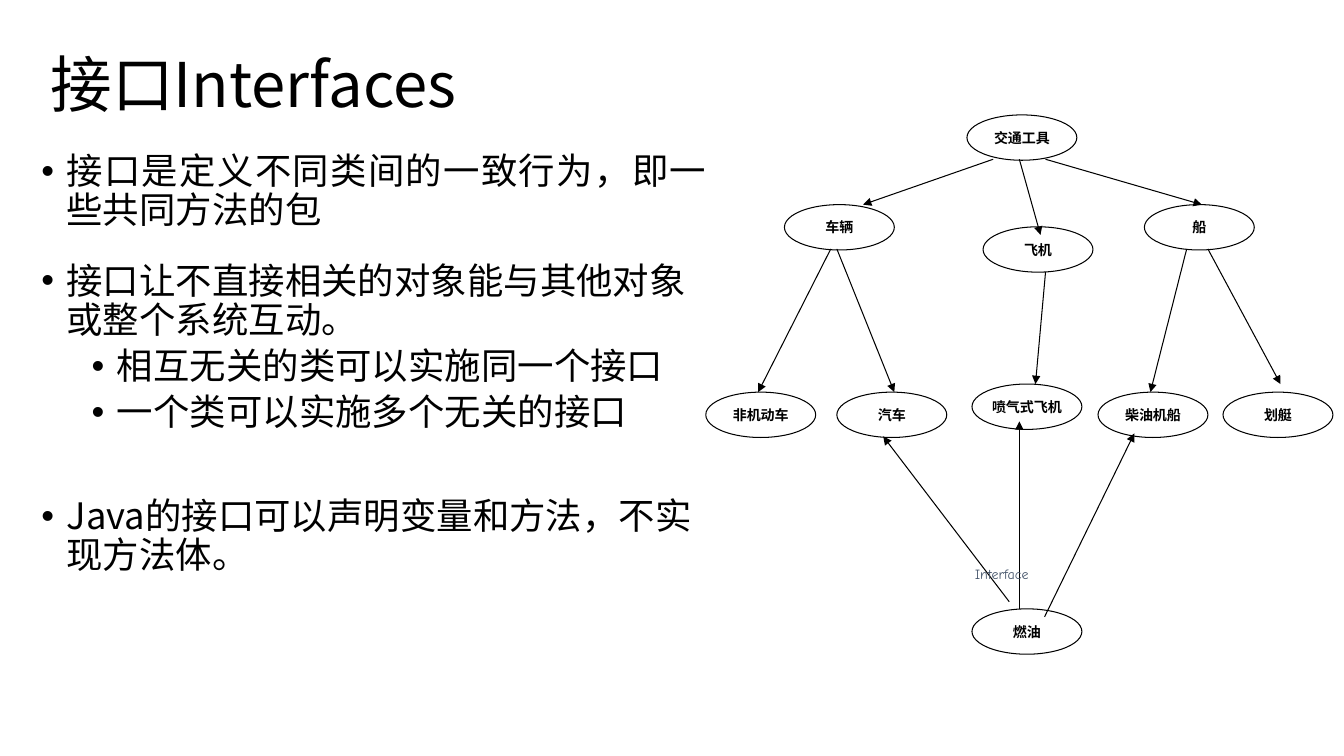
from lxml.etree import SubElement
from pptx import Presentation
from pptx.dml.color import RGBColor
from pptx.enum.shapes import MSO_CONNECTOR, MSO_SHAPE
from pptx.enum.text import MSO_ANCHOR, MSO_AUTO_SIZE, PP_ALIGN
from pptx.oxml.ns import qn
from pptx.util import Inches, Pt

SANS = "Noto Sans CJK SC"
BLACK = "000000"
NODE = (1.09, 0.45)

BODY = [
    ("接口是定义不同类间的一致行为，即一些共同方法的包", 0, 10, 12, PP_ALIGN.JUSTIFY),
    ("接口让不直接相关的对象能与其他对象或整个系统互动。", 0, 10, 0, PP_ALIGN.LEFT),
    ("相互无关的类可以实施同一个接口", 1, 5, 0, PP_ALIGN.LEFT),
    ("一个类可以实施多个无关的接口", 1, 5, 0, PP_ALIGN.LEFT),
    ("Java的接口可以声明变量和方法，不实现方法体。", 0, 46, 0, PP_ALIGN.LEFT),
]

NODES = [
    ("交通工具", 2.59, 0),
    ("车辆", 0.78, 0.89),
    ("船", 4.35, 0.89),
    ("非机动车", 0, 2.75),
    ("飞机", 2.75, 1.11),
    ("柴油机船", 3.89, 2.75),
    ("划艇", 5.13, 2.75),
    ("喷气式飞机", 2.64, 2.67),
    ("汽车", 1.3, 2.75),
    ("燃油", 2.64, 4.9),
]

ARROWS = [
    (2.85, 0.44, 1.56, 0.89),
    (3.11, 0.44, 3.32, 1.19),
    (3.37, 0.44, 4.92, 0.89),
    (1.24, 1.33, 0.52, 2.75),
    (1.3, 1.33, 1.87, 2.75),
    (3.37, 1.56, 3.27, 2.67),
    (4.77, 1.33, 4.41, 2.75),
    (4.98, 1.33, 5.7, 2.67),
    (3.01, 4.83, 1.76, 3.19),
    (3.11, 4.9, 3.11, 3.04),
    (3.36, 4.98, 4.25, 3.16),
]


def paint(code):
    return RGBColor.from_string(code)


def apply(item, vals):
    for key, val in vals.items():
        setattr(item, key, val)


def place(shape, box):
    keys = ("left", "top", "width", "height")
    apply(shape, dict(zip(keys, map(Inches, box))))


def write(para, text, size, font=SANS, color=BLACK, bold=False):
    run = para.add_run()
    run.text = text
    apply(run.font, {"name": font, "size": Pt(size), "bold": bold})
    run.font.color.rgb = paint(color)
    props = run.font._element
    SubElement(props, qn("a:ea")).set("typeface", SANS)


def heading(slide, box):
    title = slide.shapes.title
    place(title, box)
    frame = title.text_frame
    apply(frame, {"vertical_anchor": MSO_ANCHOR.MIDDLE, "auto_size": MSO_AUTO_SIZE.NONE})
    para = frame.paragraphs[0]
    apply(para, {"alignment": PP_ALIGN.LEFT, "line_spacing": 0.9})
    write(para, "接口Interfaces", 44)


def points(slide, box):
    body = slide.placeholders[1]
    place(body, box)
    frame = body.text_frame
    apply(frame, {"vertical_anchor": MSO_ANCHOR.TOP, "auto_size": MSO_AUTO_SIZE.NONE})
    for i, (text, level, above, below, align) in enumerate(BODY):
        para = frame.add_paragraph() if i else frame.paragraphs[0]
        apply(para, {
            "level": level,
            "alignment": align,
            "line_spacing": 0.9,
            "space_before": Pt(above),
            "space_after": Pt(below),
        })
        props = para._p.get_or_add_pPr()
        props.set("marL", str(Inches(0.25 + level * 0.5)))
        props.set("indent", str(Inches(-0.25)))
        SubElement(props, qn("a:buFont")).set("typeface", "Arial")
        SubElement(props, qn("a:buChar")).set("char", "•")
        write(para, text, 26)


def node(slide, text, box):
    oval = slide.shapes.add_shape(MSO_SHAPE.OVAL, *map(Inches, box))
    oval.shadow.inherit = False
    oval.fill.background()
    oval.line.color.rgb = paint(BLACK)
    oval.line.width = Pt(0.75)
    frame = oval.text_frame
    apply(frame, {"word_wrap": False, "vertical_anchor": MSO_ANCHOR.MIDDLE})
    para = frame.paragraphs[0]
    para.alignment = PP_ALIGN.CENTER
    write(para, text, 10, "Times New Roman", bold=True)


def arrow(slide, ends):
    link = slide.shapes.add_connector(MSO_CONNECTOR.STRAIGHT, *map(Inches, ends))
    link.line.color.rgb = paint(BLACK)
    link.line.width = Pt(0.75)
    SubElement(link.line._get_or_add_ln(), qn("a:tailEnd")).set("type", "triangle")
    SubElement(link._element.spPr, qn("a:effectLst"))


def diagram(slide, box):
    left, top = box[:2]
    for text, x, y in NODES:
        node(slide, text, (left + x, top + y, *NODE))
    for x1, y1, x2, y2 in ARROWS:
        arrow(slide, (left + x1, top + y1, left + x2, top + y2))
    label = slide.shapes.add_textbox(*map(Inches, (left + 2.57, top + 4.42, 1.07, 0.44)))
    label.text_frame.word_wrap = False
    para = label.text_frame.paragraphs[0]
    para.alignment = PP_ALIGN.LEFT
    write(para, "Interface", 10, "Comic Neue", "44546A")


def main():
    deck = Presentation()
    apply(deck, {"slide_width": Inches(13.33), "slide_height": Inches(7.5)})
    slide = deck.slides.add_slide(deck.slide_layouts[1])
    heading(slide, (0.4, 0.14, 11.5, 1.45))
    points(slide, (0.31, 1.47, 6.8, 5.12))
    diagram(slide, (7, 1.14, 6.22, 5.35))
    deck.save("out.pptx")


if __name__ == "__main__":
    main()
